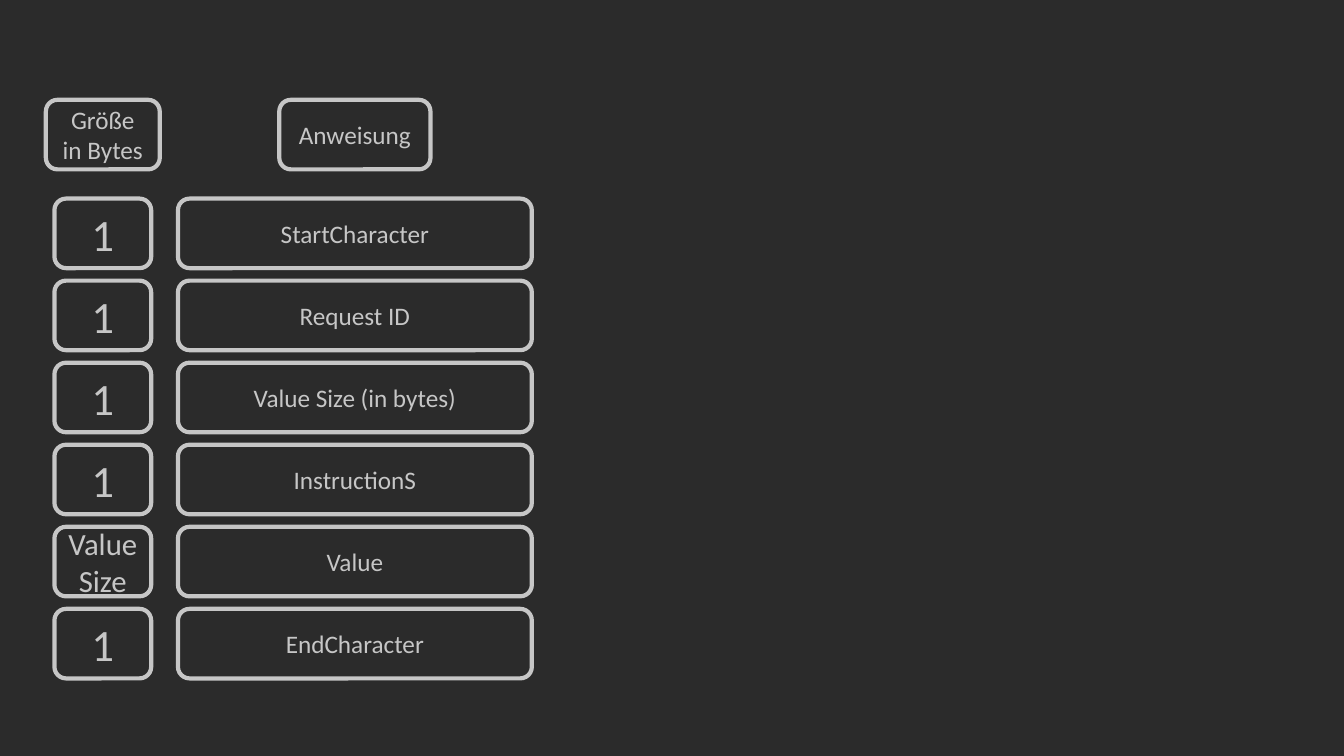
from dataclasses import dataclass

from pptx import Presentation
from pptx.dml.color import RGBColor
from pptx.enum.shapes import MSO_SHAPE
from pptx.enum.text import MSO_ANCHOR, PP_ALIGN
from pptx.util import Inches, Pt

ROUND = MSO_SHAPE.ROUNDED_RECTANGLE
MIDDLE = MSO_ANCHOR.MIDDLE
CENTER = PP_ALIGN.CENTER


@dataclass(frozen=True)
class Theme:
    back: RGBColor = RGBColor(0x2B, 0x2B, 0x2B)
    ink: RGBColor = RGBColor(0xC6, 0xC6, 0xC6)
    font: str = "Calibri"
    text: int = 18
    label: int = 22
    digit: int = 32
    line: int = 3


@dataclass(frozen=True)
class Grid:
    """Column centres and the row rhythm, in inches."""
    mids: tuple = (1.02, 3.52)
    head: float = 0.99
    top: float = 1.97
    pitch: float = 0.814
    height: float = 0.69

    def row(self, index):
        return self.top + index * self.pitch


class Board:
    def __init__(self, slide, theme, grid):
        self.slide, self.theme, self.grid = slide, theme, grid
        fill = slide.background.fill
        fill.solid()
        fill.fore_color.rgb = theme.back

    def box(self, text, col, top, width, size):
        """Outlined box centred on a grid column."""
        left = self.grid.mids[col] - width / 2
        shape = self.slide.shapes.add_shape(
            ROUND, Inches(left), Inches(top),
            Inches(width), Inches(self.grid.height))
        shape.shadow.inherit = False
        shape.fill.background()
        shape.line.color.rgb = self.theme.ink
        shape.line.width = Pt(self.theme.line)
        frame = shape.text_frame
        frame.word_wrap = True
        frame.vertical_anchor = MIDDLE
        frame.text = text
        para = frame.paragraphs[0]
        para.alignment = CENTER
        para.font.name = self.theme.font
        para.font.size = Pt(size)
        para.font.color.rgb = self.theme.ink
        return shape

    def head(self, text, col, width):
        self.box(text, col, self.grid.head, width, self.theme.text)

    def field(self, index, size, name):
        """One row: byte count on the left, field name on the right."""
        top = self.grid.row(index)
        points = self.theme.digit if size.isdigit() else self.theme.label
        self.box(size, 0, top, 0.96, points)
        self.box(name, 1, top, 3.51, self.theme.text)


FIELDS = [
    ("1", "StartCharacter"),
    ("1", "Request ID"),
    ("1", "Value Size (in bytes)"),
    ("1", "InstructionS"),
    ("Value Size", "Value"),
    ("1", "EndCharacter"),
]


def main():
    deck = Presentation()
    deck.slide_width, deck.slide_height = Inches(13.33), Inches(7.5)
    blank = deck.slide_layouts[6]
    board = Board(deck.slides.add_slide(blank), Theme(), Grid())

    # Column heads
    board.head("Größe in Bytes", 0, 1.13)
    board.head("Anweisung", 1, 1.5)

    # Message fields
    for index, (size, name) in enumerate(FIELDS):
        board.field(index, size, name)

    deck.save("out.pptx")


if __name__ == "__main__":
    main()
